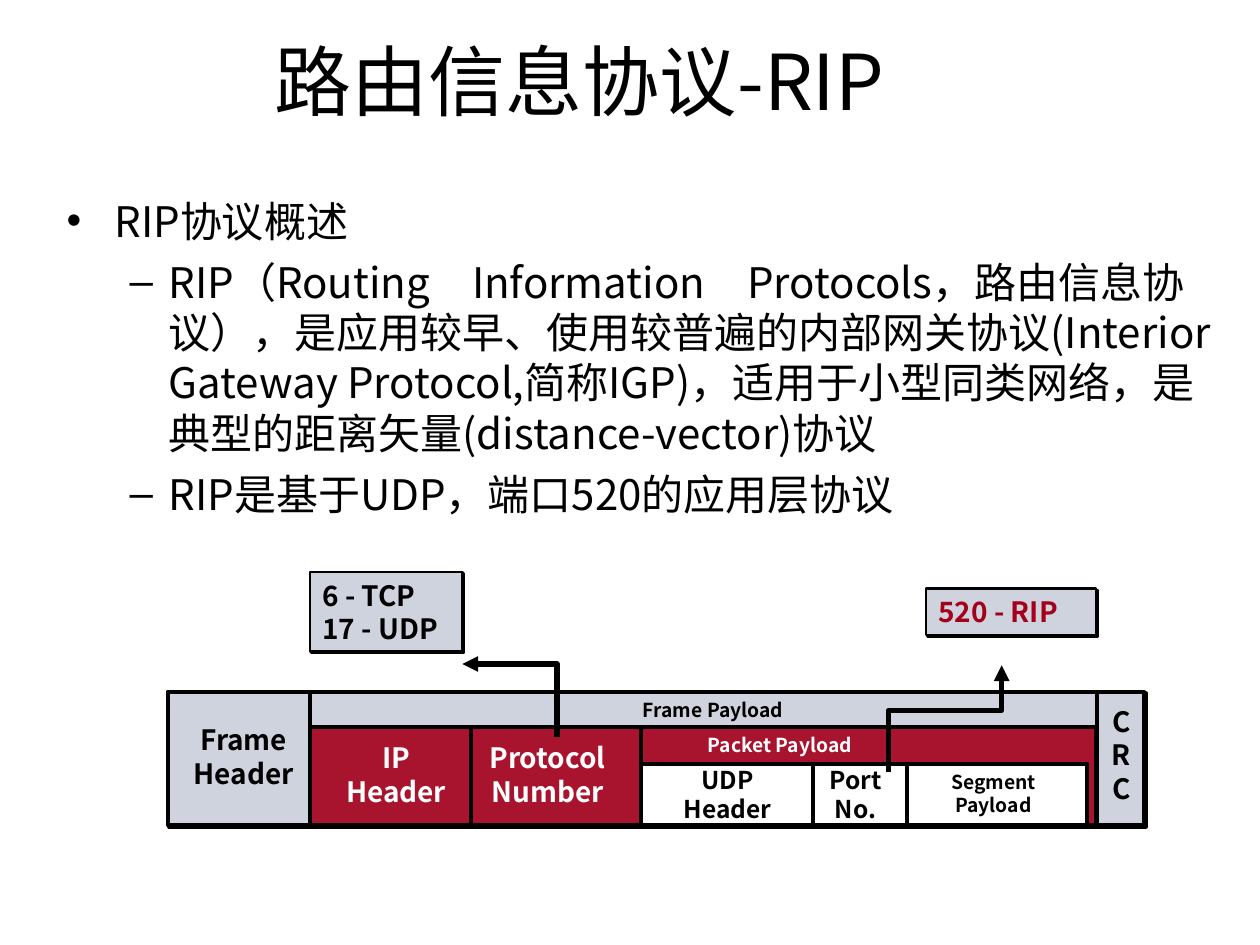
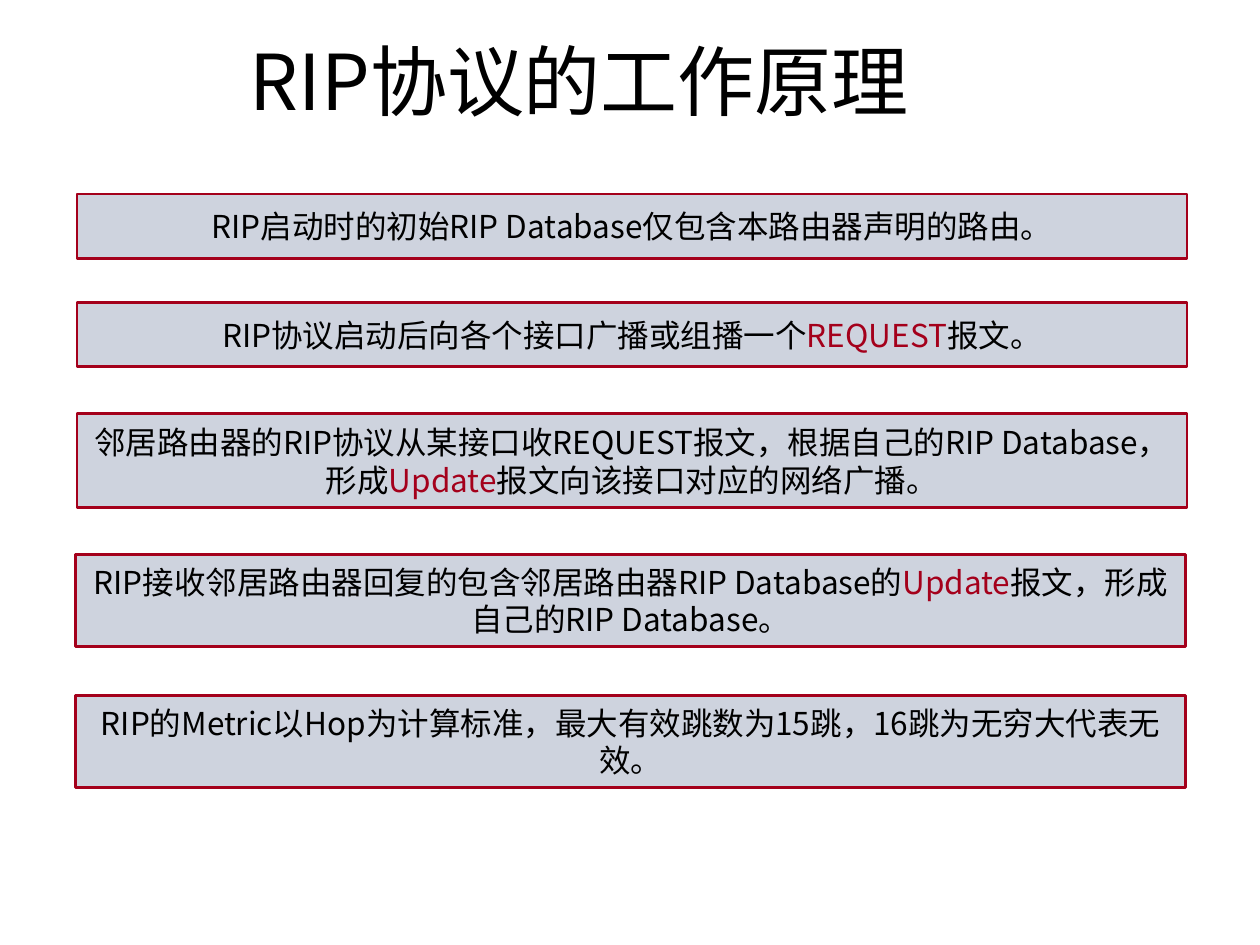
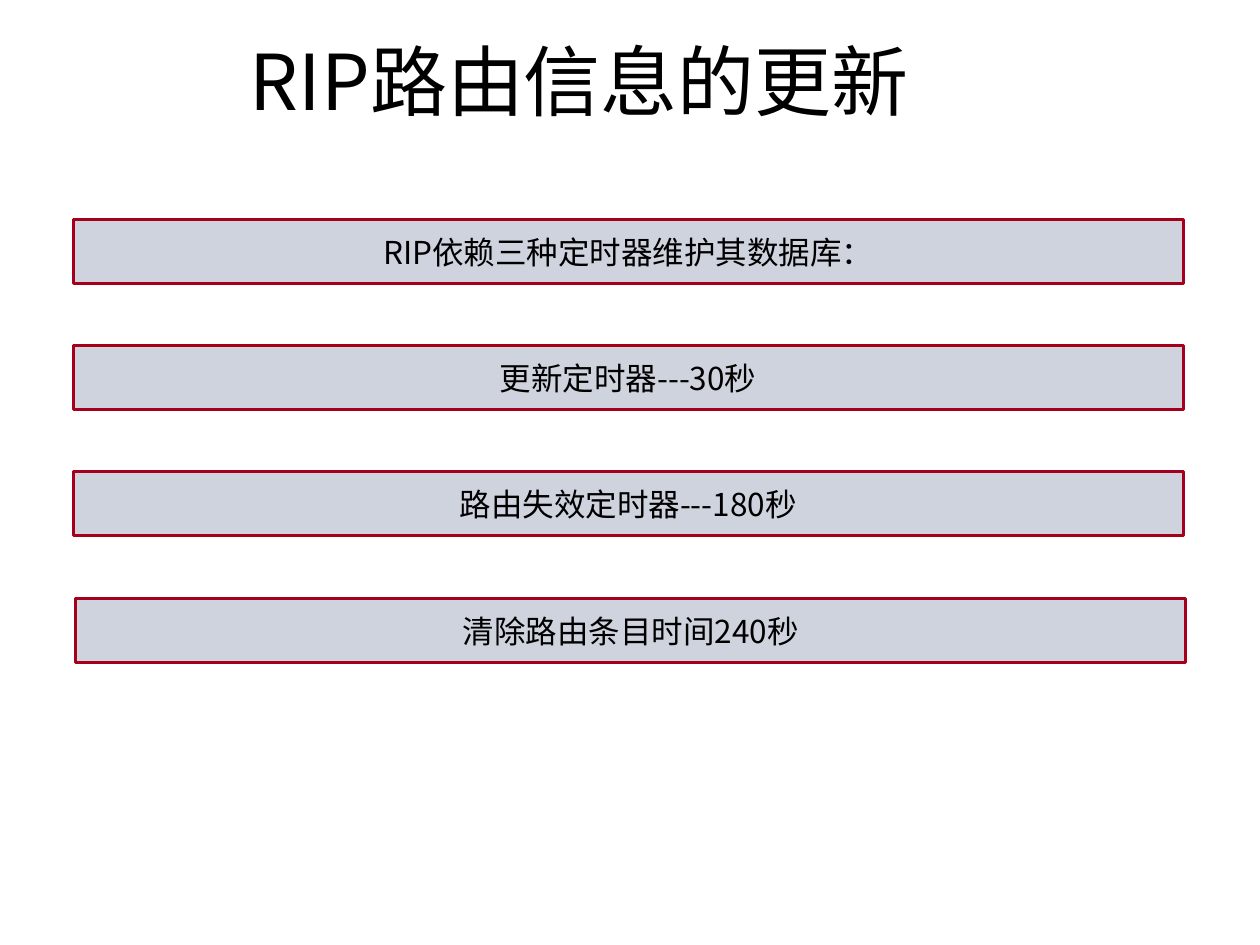
from lxml import etree
from pptx import Presentation
from pptx.dml.color import RGBColor
from pptx.enum.shapes import MSO_CONNECTOR, MSO_SHAPE
from pptx.enum.text import MSO_ANCHOR, MSO_AUTO_SIZE, PP_ALIGN
from pptx.oxml.ns import qn
from pptx.util import Inches, Pt

RECT, STRAIGHT = MSO_SHAPE.RECTANGLE, MSO_CONNECTOR.STRAIGHT
LEFT, CENTER = PP_ALIGN.LEFT, PP_ALIGN.CENTER
TOP, MIDDLE = MSO_ANCHOR.TOP, MSO_ANCHOR.MIDDLE
NO_FIT = MSO_AUTO_SIZE.NONE

BLACK = RGBColor(0x00, 0x00, 0x00)
WHITE = RGBColor(0xFF, 0xFF, 0xFF)
GREY = RGBColor(0xCE, 0xD3, 0xDE)
RED = RGBColor(0xA4, 0x00, 0x1B)
FONT = "Noto Sans CJK SC"

TITLE_BOX = (0.5, 0.21, 8.2, 0.85)
BODY_BOX = (0.43, 1.42, 9.32, 3)
BAR_WIDTH = 8.81

OVERVIEW_TITLE = "路由信息协议-RIP"
OVERVIEW = [
    (0, "RIP协议概述"),
    (1, "RIP（Routing　Information　Protocols，路由信息协议），是应用较早、使用较普遍的内部网关协议"
        "(Interior Gateway Protocol,简称IGP)，适用于小型同类网络，是典型的距离矢量(distance-vector)协议"),
    (1, "RIP是基于UDP，端口520的应用层协议"),
]
BULLETS = [("•", 0.38, 0.38), ("–", 0.81, 0.31)]

FRAME_TOP, PACKET_TOP, SEGMENT_TOP, FRAME_BOTTOM = 5.49, 5.77, 6.06, 6.55
FRAME_LEFT, PACKET_LEFT, SEGMENT_LEFT = 1.33, 2.46, 5.09
SEGMENT_RIGHT, PACKET_RIGHT, FRAME_RIGHT = 8.63, 8.7, 9.08
LAYERS = [
    (FRAME_LEFT, FRAME_TOP, FRAME_RIGHT, GREY),
    (PACKET_LEFT, PACKET_TOP, PACKET_RIGHT, RED),
    (SEGMENT_LEFT, SEGMENT_TOP, SEGMENT_RIGHT, WHITE),
]
DIVIDERS = [
    (PACKET_LEFT, FRAME_TOP), (8.71, FRAME_TOP),
    (3.74, PACKET_TOP), (SEGMENT_LEFT, PACKET_TOP),
    (6.45, SEGMENT_TOP), (7.2, SEGMENT_TOP),
]
FIELDS = [
    ((1.33, 5.69, 1.21, 0.63), ["Frame Header"], 16, BLACK),
    ((2.54, 5.83, 1.21, 0.63), ["IP Header"], 16, WHITE),
    ((3.74, 5.83, 1.21, 0.63), ["Protocol Number"], 16, WHITE),
    ((5.17, 6.02, 1.21, 0.57), ["UDP Header"], 14, BLACK),
    ((6.45, 6.02, 0.68, 0.57), ["Port No."], 14, BLACK),
    ((7.28, 6.06, 1.21, 0.47), ["Segment", "Payload"], 11, BLACK),
    ((8.71, 5.54, 0.38, 0.9), ["C", "R", "C"], 16, BLACK),
    ((4.8, 5.77, 2.78, 0.28), ["Packet Payload"], 11, WHITE),
    ((4.27, 5.49, 2.78, 0.28), ["Frame Payload"], 11, BLACK),
]
CALLOUTS = [
    ((2.46, 4.54, 1.21, 0.63), ["6 - TCP", "17 - UDP"], BLACK),
    ((7.35, 4.67, 1.35, 0.37), ["520 - RIP"], RED),
]
ARROWS = [
    [(4.42, 5.85), (4.42, 5.27), (3.67, 5.27)],
    [(7.05, 6.13), (7.05, 5.64), (7.95, 5.64), (7.95, 5.28)],
]

BAR_SLIDES = [
    ("RIP协议的工作原理", 1.5, 4.5, [
        (0.61, 1.54, 0.51, "RIP启动时的初始RIP Database仅包含本路由器声明的路由。"),
        (0.61, 2.4, 0.51, "RIP协议启动后向各个接口广播或组播一个|REQUEST|报文。"),
        (0.61, 3.28, 0.75, "邻居路由器的RIP协议从某接口收REQUEST报文，根据自己的RIP Database，"
                           "形成|Update|报文向该接口对应的网络广播。"),
        (0.6, 4.4, 0.73, "RIP接收邻居路由器回复的包含邻居路由器RIP Database的|Update|报文，"
                         "形成自己的RIP Database。"),
        (0.6, 5.52, 0.73, "RIP的Metric以Hop为计算标准，最大有效跳数为15跳，16跳为无穷大代表无效。"),
    ]),
    ("RIP路由信息的更新", 1.75, 0, [
        (0.58, 1.74, 0.51, "RIP依赖三种定时器维护其数据库："),
        (0.58, 2.74, 0.51, "更新定时器---30秒"),
        (0.58, 3.74, 0.51, "路由失效定时器---180秒"),
        (0.6, 4.75, 0.51, "清除路由条目时间240秒"),
    ]),
]


def inches(box):
    return [Inches(v) for v in box]


def sub(parent, tag, **attrs):
    return etree.SubElement(parent, qn(tag), {k: str(v) for k, v in attrs.items()})


def style_run(r, size, color, bold=False):
    r.font.size, r.font.bold, r.font.name = Pt(size), bold, FONT
    r.font.color.rgb = color
    sub(r.font._element, "a:ea", typeface=FONT)


def write(sp, lines, size, color=BLACK, bold=False, align=CENTER, anchor=MIDDLE, before=0):
    tf = sp.text_frame
    tf.word_wrap, tf.auto_size, tf.vertical_anchor = True, NO_FIT, anchor
    tf.margin_left = tf.margin_right = Inches(0.1)
    tf.margin_top = tf.margin_bottom = Inches(0.05)
    for i, line in enumerate(lines):
        p = tf.add_paragraph() if i else tf.paragraphs[0]
        p.alignment, p.space_before = align, Pt(before)
        for j, part in enumerate(line.split("|")):
            r = p.add_run()
            r.text = part
            style_run(r, size, RED if j % 2 else color, bold)
    return tf


def add_rect(slide, box, fill, line, width):
    sp = slide.shapes.add_shape(RECT, *inches(box))
    sp.shadow.inherit = False
    sp.fill.solid()
    sp.fill.fore_color.rgb = fill
    sp.line.color.rgb, sp.line.width = line, Pt(width)
    return sp


def add_hard_shadow(sp):
    effects = sp._element.spPr.find(qn("a:effectLst"))
    shadow = sub(effects, "a:outerShdw", blurRad=0, dist=Pt(1.4), dir=45 * 60000,
                 algn="tl", rotWithShape=0)
    sub(shadow, "a:srgbClr", val=BLACK)


def add_label(slide, box, lines, size, color):
    write(slide.shapes.add_textbox(*inches(box)), lines, size, color, bold=True)


def add_divider(slide, x, top):
    line = slide.shapes.add_connector(STRAIGHT, *inches((x, top, x, FRAME_BOTTOM)))
    line.line.color.rgb, line.line.width = BLACK, Pt(2.25)
    sub(line._element.spPr, "a:effectLst")


def add_arrow(slide, points):
    start, *rest = [inches(pt) for pt in points]
    builder = slide.shapes.build_freeform(*start)
    builder.add_line_segments(rest, close=False)
    sp = builder.convert_to_shape()
    sp.shadow.inherit = False
    sp.fill.background()
    sp.line.color.rgb, sp.line.width = BLACK, Pt(3)
    sub(sp.line._get_or_add_ln(), "a:tailEnd", type="triangle")


def add_slide(prs, title):
    slide = prs.slides.add_slide(prs.slide_layouts[5])
    sp = slide.shapes.title
    sp.left, sp.top, sp.width, sp.height = inches(TITLE_BOX)
    write(sp, [title], 44)
    return slide


def add_overview(slide):
    sp = slide.shapes.add_textbox(*inches(BODY_BOX))
    tf = write(sp, [text for _, text in OVERVIEW], 24, align=LEFT, anchor=TOP, before=6)
    tf.paragraphs[0].line_spacing = 1.2
    for p, (level, _) in zip(tf.paragraphs, OVERVIEW):
        char, margin, hang = BULLETS[level]
        p.level = level
        pPr = p._p.get_or_add_pPr()
        pPr.set("marL", str(Inches(margin)))
        pPr.set("indent", str(-Inches(hang)))
        sub(sub(pPr, "a:buClr"), "a:srgbClr", val=BLACK)
        sub(pPr, "a:buFont", typeface="Arial")
        sub(pPr, "a:buChar", char=char)


def add_frame_diagram(slide):
    frame, packet, _ = [
        add_rect(slide, (left, top, right - left, FRAME_BOTTOM - top), fill, BLACK, 2.25)
        for left, top, right, fill in LAYERS]
    add_hard_shadow(frame)
    packet_color = packet._element.spPr.find(qn("a:solidFill"))[0]
    sub(packet_color, "a:alpha", val=90000)
    for x, top in DIVIDERS:
        add_divider(slide, x, top)
    for field in FIELDS:
        add_label(slide, *field)
    for box, lines, color in CALLOUTS:
        sp = add_rect(slide, box, GREY, BLACK, 1.5)
        add_hard_shadow(sp)
        write(sp, lines, 16, color, bold=True, align=LEFT)
    for points in ARROWS:
        add_arrow(slide, points)


def main():
    prs = Presentation()
    prs.slide_width, prs.slide_height = Inches(10), Inches(7.5)
    slide = add_slide(prs, OVERVIEW_TITLE)
    add_overview(slide)
    add_frame_diagram(slide)
    for title, border, before, bars in BAR_SLIDES:
        slide = add_slide(prs, title)
        for left, top, height, text in bars:
            sp = add_rect(slide, (left, top, BAR_WIDTH, height), GREY, RED, border)
            write(sp, [text], 18, before=before)
    prs.save("out.pptx")


if __name__ == "__main__":
    main()
